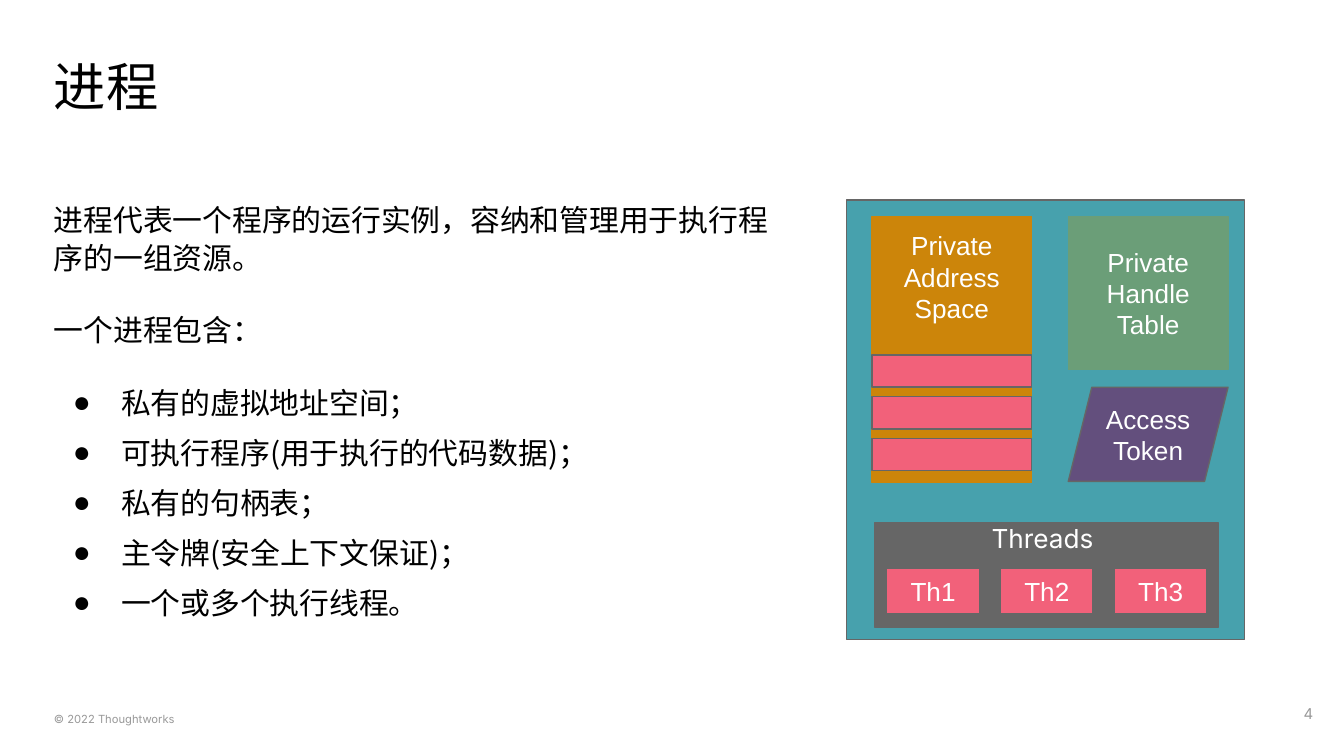
from pptx import Presentation
from pptx.dml.color import RGBColor
from pptx.enum.shapes import MSO_SHAPE as Kind
from pptx.enum.text import MSO_ANCHOR as Anchor, PP_ALIGN as Align
from pptx.oxml.ns import qn
from pptx.util import Cm, Pt
from lxml.etree import SubElement

BLACK = RGBColor(0x00, 0x00, 0x00)
WHITE = RGBColor(0xFF, 0xFF, 0xFF)
SILVER = RGBColor(0x99, 0x99, 0x99)
GRAY = RGBColor(0x66, 0x66, 0x66)
TEAL = RGBColor(0x47, 0xA1, 0xAD)
OCHRE = RGBColor(0xCC, 0x85, 0x0A)
GREEN = RGBColor(0x6B, 0x9E, 0x78)
PLUM = RGBColor(0x63, 0x4F, 0x7D)
PINK = RGBColor(0xF2, 0x61, 0x7A)

HAN, INTER, ARIAL = "Noto Sans CJK SC", "Inter", "Arial"
PAD = 0.25

TITLE = "进程"
INTRO = "进程代表一个程序的运行实例，容纳和管理用于执行程序的一组资源。"
LEAD = "一个进程包含："
ITEMS = [
    "私有的虚拟地址空间；",
    "可执行程序(用于执行的代码数据)；",
    "私有的句柄表；",
    "主令牌(安全上下文保证)；",
    "一个或多个执行线程。",
]
FOOTER = "© 2022 Thoughtworks"
PAGE = "4"
THREADS = ["Th1", "Th2", "Th3"]
BARS = 3

PARTS = [
    (Kind.RECTANGLE, (16, 3.78, 7.52, 8.31), TEAL, GRAY, "", Anchor.MIDDLE),
    (Kind.RECTANGLE, (16.48, 4.09, 3.02, 5.03), OCHRE, OCHRE,
     "Private Address Space", Anchor.TOP),
    (Kind.RECTANGLE, (20.19, 4.09, 3.02, 2.9), GREEN, GREEN,
     "Private Handle Table", Anchor.MIDDLE),
    (Kind.RECTANGLE, (16.54, 9.88, 6.48, 1.98), GRAY, GRAY, "", Anchor.MIDDLE),
    (Kind.PARALLELOGRAM, (20.19, 7.32, 3.02, 1.78), PLUM, GRAY,
     "Access Token", Anchor.MIDDLE),
]


def style(para, name, size, color):
    for run in para.runs:
        font = run.font
        font.name, font.size = name, Pt(size)
        font.color.rgb = color
        if name == HAN:
            SubElement(font._element, qn("a:ea"), typeface=name)


def frame(shape, pad, anchor):
    text = shape.text_frame
    text.word_wrap = True
    text.vertical_anchor = anchor
    text.margin_left = text.margin_right = Cm(pad)
    text.margin_top = text.margin_bottom = Cm(pad)
    return text


def label(slide, box, words, name, size, color, pad=0, anchor=Anchor.TOP,
          align=Align.LEFT):
    shape = slide.shapes.add_textbox(*map(Cm, box))
    text = frame(shape, pad, anchor)
    text.text = words
    para = text.paragraphs[0]
    para.alignment = align
    style(para, name, size, color)


def block(slide, kind, box, fill, edge, words="", anchor=Anchor.MIDDLE):
    shape = slide.shapes.add_shape(kind, *map(Cm, box))
    shape.shadow.inherit = False
    shape.fill.solid()
    shape.fill.fore_color.rgb = fill
    shape.line.color.rgb = edge
    shape.line.width = Pt(0.75)
    if words:
        text = frame(shape, PAD, anchor)
        text.text = words
        para = text.paragraphs[0]
        para.alignment = Align.CENTER
        style(para, ARIAL, 14, WHITE)


def bullet(para):
    props = para._p.get_or_add_pPr()
    props.set("marL", str(Cm(1.27)))
    props.set("indent", str(-Cm(0.91)))
    tint = SubElement(props, qn("a:buClr"))
    SubElement(tint, qn("a:srgbClr"), val=str(BLACK))
    SubElement(props, qn("a:buFont"), typeface=ARIAL)
    SubElement(props, qn("a:buChar"), char="●")


def body(slide):
    shape = slide.shapes.add_textbox(*map(Cm, (1.02, 3.78, 13.56, 9.5)))
    text = frame(shape, 0, Anchor.TOP)
    for i, words in enumerate([INTRO, LEAD] + ITEMS):
        para = text.add_paragraph() if i else text.paragraphs[0]
        para.text = words
        para.line_spacing = 1.4 if i else 1.05
        if i in (1, 2):
            para.space_before = Pt(12)
        if i > 1:
            bullet(para)
        style(para, HAN, 16, BLACK)


def main():
    deck = Presentation()
    deck.slide_width, deck.slide_height = Cm(25.4), Cm(14.29)
    slide = deck.slides.add_slide(deck.slide_layouts[6])
    label(slide, (1.02, 13.23, 10.95, 0.48), FOOTER, INTER, 6, SILVER,
          anchor=Anchor.BOTTOM)
    label(slide, (1.02, 1.02, 23.34, 1.6), TITLE, HAN, 28, BLACK)
    body(slide)
    label(slide, (23.55, 12.95, 1.52, 1.09), PAGE, INTER, 8, SILVER, PAD,
          Anchor.MIDDLE, Align.RIGHT)
    for part in PARTS:
        block(slide, *part)
    label(slide, (18.49, 9.63, 2.54, 1.12), "Threads", INTER, 14, WHITE, PAD)
    for i in range(BARS):
        block(slide, Kind.RECTANGLE, (16.48, 6.71 + 0.79 * i, 3.02, 0.61),
              PINK, GRAY)
    for i, words in enumerate(THREADS):
        block(slide, Kind.RECTANGLE, (16.76 + 2.15 * i, 10.74, 1.75, 0.86),
              PINK, GRAY, words)
    deck.save("out.pptx")


if __name__ == "__main__":
    main()
